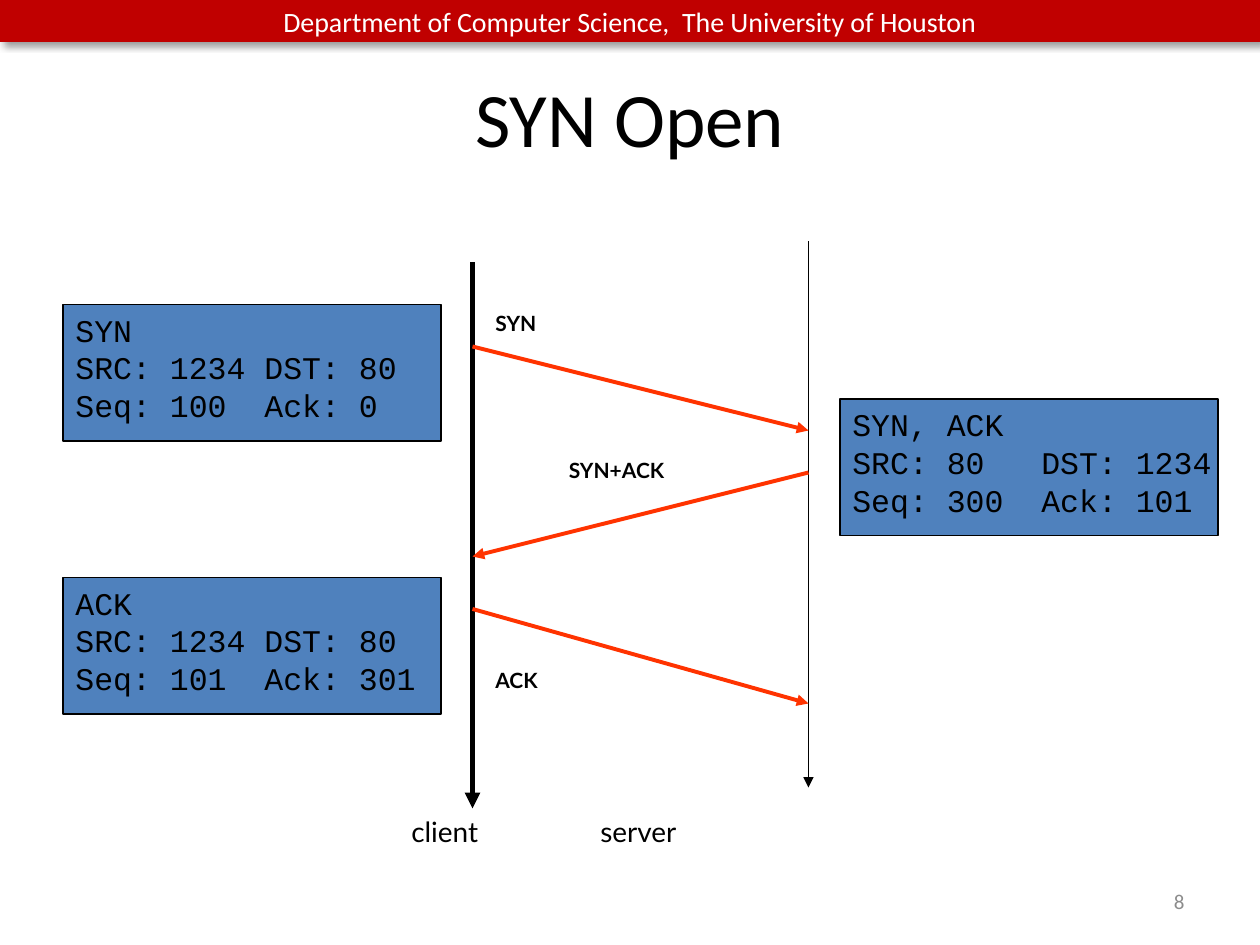
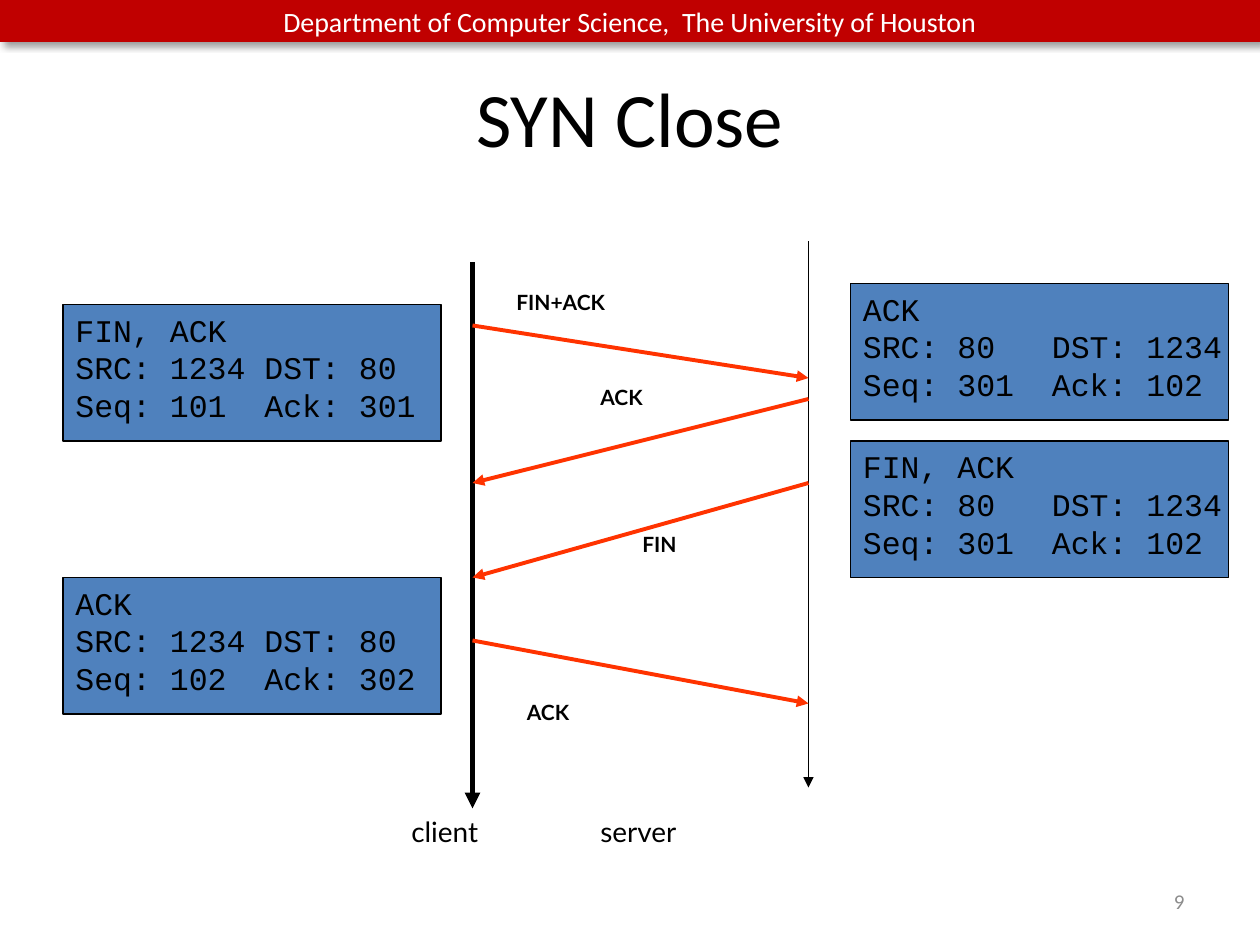
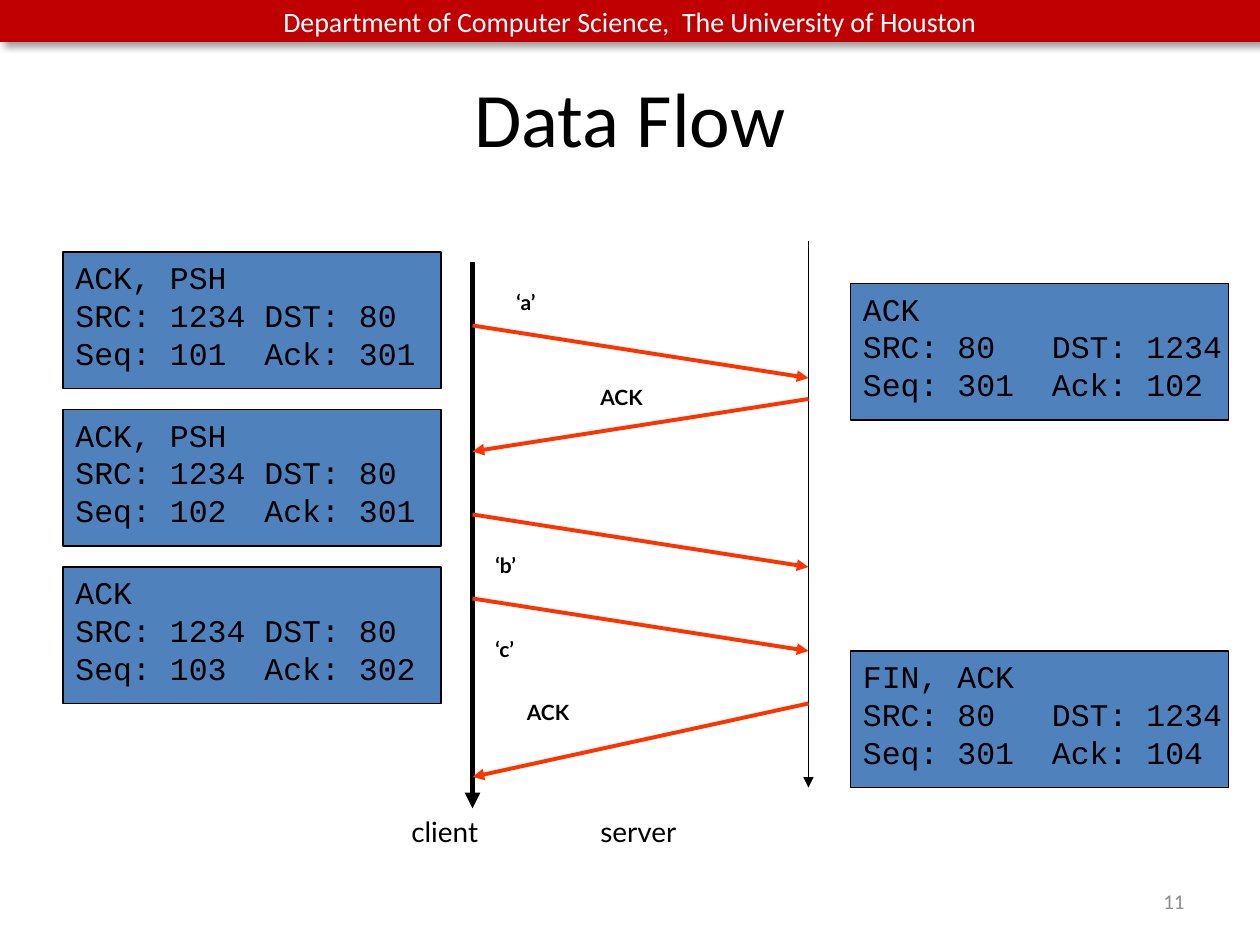
from pptx import Presentation, util as u
from pptx.dml.color import RGBColor
from pptx.enum import shapes, text
from pptx.oxml import parse_xml
from pptx.oxml.ns import nsdecls

COLORS = {
    "band": "C00000", "packet": "4F81BD", "message": "FF3300",
    "ink": "000000", "number": "8C8C8C", "light": "FFFFFF",
}
STYLES = {
    "band": {"name": "Calibri", "size": u.Pt(16), "color": "light"},
    "title": {"name": "Calibri", "size": u.Pt(44), "color": "ink"},
    "number": {"name": "Calibri", "size": u.Pt(12), "color": "number"},
    "host": {"name": "Lato", "size": u.Pt(16), "color": "ink"},
    "message": {"name": "Lato", "size": u.Pt(12), "bold": True, "color": "ink"},
    "packet": {"name": "Courier New", "size": u.Pt(18), "color": "ink"},
}
DEPARTMENT = "Department of Computer Science,  The University of Houston"

CELL = u.Inches(1) // 12
COLUMNS, ROWS = 120, 90
HOSTS = {
    "client": {"x": 45, "rows": (25, 77), "weight": 3, "label_x": 38, "ports": (1234, 80)},
    "server": {"x": 77, "rows": (23, 75), "weight": 0.75, "label_x": 56, "ports": (80, 1234)},
}
HOST_LABEL_ROW = 77
PACKET_SIZE = (36, 13)
PACKET_TAB = u.Inches(1.5)

# packets: sender, column, row, flags, seq, ack
# messages: sender, first row, last row, label, label column, label row
DIAGRAMS = [
    {
        "title": "SYN Open", "number": 8,
        "packets": [
            ("client", 6, 29, "SYN", 100, 0),
            ("server", 80, 38, "SYN, ACK", 300, 101),
            ("client", 6, 55, "ACK", 101, 301),
        ],
        "messages": [
            ("client", 33, 41, "SYN", 46, 29),
            ("server", 45, 53, "SYN+ACK", 53, 43),
            ("client", 58, 67, "ACK", 46, 63),
        ],
    },
    {
        "title": "SYN Close", "number": 9,
        "packets": [
            ("client", 6, 29, "FIN, ACK", 101, 301),
            ("server", 81, 27, "ACK", 301, 102),
            ("server", 81, 42, "FIN, ACK", 301, 102),
            ("client", 6, 55, "ACK", 102, 302),
        ],
        "messages": [
            ("client", 31, 36, "FIN+ACK", 48, 27),
            ("server", 38, 46, "ACK", 56, 36),
            ("server", 46, 55, "FIN", 60, 50),
            ("client", 61, 67, "ACK", 49, 66),
        ],
    },
    {
        "title": "Data Flow", "number": 11,
        "packets": [
            ("client", 6, 24, "ACK, PSH", 101, 301),
            ("server", 81, 27, "ACK", 301, 102),
            ("client", 6, 39, "ACK, PSH", 102, 301),
            ("client", 6, 54, "ACK", 103, 302),
            ("server", 81, 62, "FIN, ACK", 301, 104),
        ],
        "messages": [
            ("client", 31, 36, "‘a’", 48, 27),
            ("server", 38, 43, "ACK", 56, 36),
            ("client", 49, 54, "‘b’", 46, 52),
            ("client", 57, 62, "‘c’", 46, 60),
            ("server", 67, 74, "ACK", 49, 66),
        ],
    },
]


def rgb(color):
    return RGBColor.from_string(COLORS[color])


def cells(*values):
    return [u.Emu(round(value * CELL)) for value in values]


def write(shape, lines, style, align=text.PP_ALIGN.LEFT, tab=None, **frame_format):
    frame = shape.text_frame
    for name, value in {"word_wrap": True, **frame_format}.items():
        setattr(frame, name, value)
    for index, line in enumerate(lines):
        paragraph = frame.add_paragraph() if index else frame.paragraphs[0]
        paragraph.alignment = align
        if tab:
            paragraph._p.get_or_add_pPr().append(parse_xml(
                f'<a:tabLst {nsdecls("a")}><a:tab pos="{tab}" algn="l"/></a:tabLst>'))
        run = paragraph.add_run()
        run.text = line
        for name, value in STYLES[style].items():
            if name == "color":
                run.font.color.rgb = rgb(value)
            else:
                setattr(run.font, name, value)


def add_label(slide, box, line, style, **options):
    write(slide.shapes.add_textbox(*cells(*box)), [line], style, **options)


def add_box(slide, box, fill):
    shape = slide.shapes.add_shape(shapes.MSO_SHAPE.RECTANGLE, *cells(*box))
    shape.shadow.inherit = False
    shape.fill.solid()
    shape.fill.fore_color.rgb = rgb(fill)
    return shape


def add_arrow(slide, start, end, color, weight):
    arrow = slide.shapes.add_connector(
        shapes.MSO_CONNECTOR.STRAIGHT, *cells(*start, *end))
    arrow.line.color.rgb = rgb(color)
    arrow.line.width = u.Pt(weight)
    arrow.line._get_or_add_ln().append(
        parse_xml(f'<a:tailEnd {nsdecls("a")} type="triangle"/>'))
    arrow._element.spPr.append(parse_xml(f'<a:effectLst {nsdecls("a")}/>'))


def add_frame(slide, title, number):
    band = add_box(slide, (0, 0, COLUMNS, 4), "band")
    band.line.fill.background()
    band._element.spPr.effectLst.append(parse_xml(
        f'<a:outerShdw {nsdecls("a")} blurRad="{u.Pt(4)}" dist="{u.Pt(3)}" '
        f'dir="2700000" algn="tl" rotWithShape="0"><a:srgbClr val="{COLORS["ink"]}">'
        '<a:alpha val="40000"/></a:srgbClr></a:outerShdw>'))
    middle = {"vertical_anchor": text.MSO_ANCHOR.MIDDLE}
    center, right = text.PP_ALIGN.CENTER, text.PP_ALIGN.RIGHT
    write(band, [DEPARTMENT], "band", align=center, **middle)
    add_label(slide, (6, 3.6, COLUMNS - 12, 15), title, "title", align=center, **middle)
    add_label(slide, (86, 83.4, 28, 4.8), str(number), "number", align=right, **middle)


def add_hosts(slide):
    for name, host in HOSTS.items():
        first, last = host["rows"]
        add_arrow(slide, (host["x"], first), (host["x"], last), "ink", host["weight"])
        add_label(slide, (host["label_x"], HOST_LABEL_ROW, 11, 4.4), name, "host",
                  auto_size=text.MSO_AUTO_SIZE.SHAPE_TO_FIT_TEXT)


def add_packet(slide, sender, column, row, flags, seq, ack):
    source, target = HOSTS[sender]["ports"]
    packet = add_box(slide, (column, row, *PACKET_SIZE), "packet")
    packet.line.color.rgb = rgb("ink")
    packet.line.width = u.Pt(0.75)
    lines = [flags, f"SRC: {source}\tDST: {target}", f"Seq: {seq}\tAck: {ack}"]
    write(packet, lines, "packet", tab=PACKET_TAB, margin_right=0,
          vertical_anchor=text.MSO_ANCHOR.TOP)


def add_message(slide, sender, first, last, label, column, row):
    receiver = "server" if sender == "client" else "client"
    add_arrow(slide, (HOSTS[sender]["x"], first), (HOSTS[receiver]["x"], last),
              "message", 2.25)
    add_label(slide, (column, row, 13, 3.6), label, "message",
              auto_size=text.MSO_AUTO_SIZE.SHAPE_TO_FIT_TEXT)


def main():
    presentation = Presentation()
    presentation.slide_width, presentation.slide_height = cells(COLUMNS, ROWS)
    for diagram in DIAGRAMS:
        slide = presentation.slides.add_slide(presentation.slide_layouts[6])
        add_frame(slide, diagram["title"], diagram["number"])
        add_hosts(slide)
        for packet in diagram["packets"]:
            add_packet(slide, *packet)
        for message in diagram["messages"]:
            add_message(slide, *message)
    presentation.save("out.pptx")


if __name__ == "__main__":
    main()
